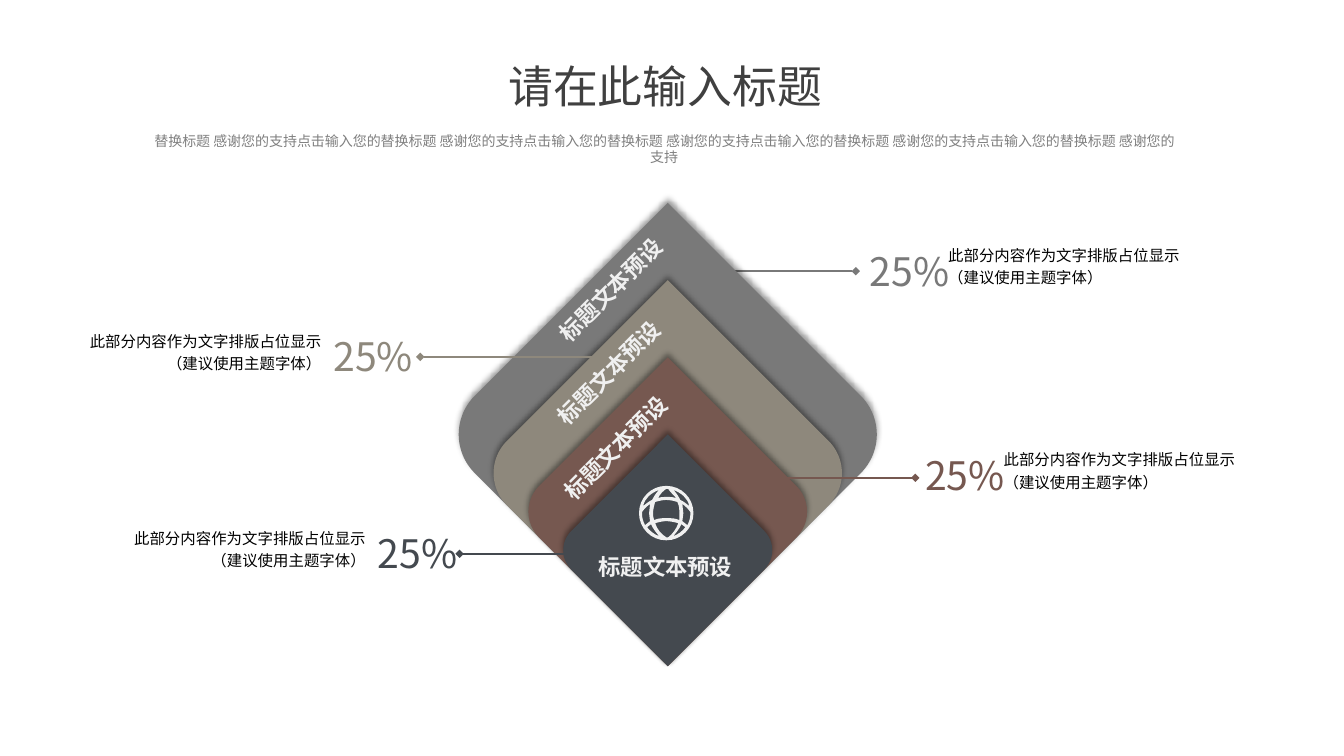
"""Build a slide of four nested diamonds with percentage callouts."""
from math import sqrt

from lxml.etree import SubElement
from pptx import Presentation
from pptx.dml.color import RGBColor
from pptx.enum.shapes import MSO_CONNECTOR as Connector, MSO_SHAPE as Preset
from pptx.enum.text import MSO_ANCHOR as Anchor, PP_ALIGN as Align
from pptx.oxml.ns import qn
from pptx.util import Pt

FONT = "Noto Sans CJK SC"
LIGHT = "F0F0F0"
COLORS = ["797979", "8E887C", "765850", "44494F"]
LABEL = "标题文本预设"
BODY = "此部分内容作为文字排版占位显示\n（建议使用主题字体）"
SUBTITLE = [
    "替换标题 " + "感谢您的支持点击输入您的替换标题 " * 4 + "感谢您的",
    "支持",
]

FORMATS = {
    "title": {"size": Pt(32), "color": "404040", "spacing": Pt(46)},
    "subtitle": {"size": Pt(10), "color": "808080", "spacing": Pt(11.5)},
    "label": {"size": Pt(16), "color": LIGHT, "spacing": 1.0, "bold": True},
    "percent": {"size": Pt(28), "spacing": Pt(33)},
    "body": {"size": Pt(11), "color": "000000", "spacing": Pt(16)},
}

CENTER_X = 477
TIP_Y = 475.8
OUTER_SIDE = 234
LABELS = [(436.2, 207, -45), (434.9, 266, -45), (439.6, 320, -45), (475.3, 405, 0)]

CALLOUTS = [
    {"start": 506.9, "end": 611.3, "y": 193.7, "percent_at": (614.2, 173.5)},
    {"start": 422.6, "end": 300.2, "y": 254.9, "percent_at": (231.1, 234.7)},
    {"start": 549.4, "end": 653.8, "y": 341.3, "percent_at": (653.8, 319.5)},
    {"start": 416.9, "end": 328.3, "y": 395.6, "percent_at": (262.8, 375.4)},
]

GLOBE_UNIT = 0.72
RIM = [(0, -27), (-15, -27), (-27, -15), (-27, 0), (-27, 15), (-15, 27), (0, 27),
       (15, 27), (27, 15), (27, 0), (27, -15), (15, -27), (0, -27)]
MIDDLE_PANES = [
    [(13, 0), (13, 2), (13, 5), (13, 7), (9, 5), (5, 5), (0, 5),
     (-4, 5), (-8, 5), (-12, 7), (-13, 5), (-13, 2), (-13, 0),
     (-13, -4), (-12, -7), (-11, -11), (-7, -12), (-4, -13), (0, -13),
     (4, -13), (8, -12), (11, -11), (13, -7), (13, -4), (13, 0)],
    [(0, -24), (1, -24), (1, -24), (2, -24), (4, -21), (7, -18), (10, -15),
     (7, -16), (4, -16), (0, -16), (-3, -16), (-6, -16), (-8, -15),
     (-6, -19), (-3, -22), (0, -24)],
    [(2, 24), (1, 24), (1, 24), (0, 24), (-5, 21), (-9, 16), (-11, 10),
     (-7, 9), (-4, 8), (0, 8), (4, 8), (8, 9), (12, 10),
     (10, 16), (6, 21), (2, 24)],
]
SIDE_PANES = [
    [(23, -7), (20, -9), (17, -12), (14, -13), (12, -17), (10, -20), (7, -23),
     (15, -20), (21, -15), (23, -7)],
    [(16, 8), (16, 6), (17, 3), (17, 0), (17, -3), (16, -6), (16, -9),
     (19, -7), (22, -4), (24, -1), (24, -1), (24, 0), (24, 0),
     (24, 5), (23, 8), (21, 12), (19, 11), (18, 9), (16, 8)],
    [(7, 23), (10, 19), (13, 16), (15, 11), (16, 12), (18, 13), (19, 14),
     (16, 18), (12, 21), (7, 23)],
]


def color(value):
    """Turn a hex string into a colour."""
    return RGBColor.from_string(value)


def globe_contours():
    """Return the rim of the globe and its panes."""
    mirrored = [[(-x, y) for x, y in pane] for pane in SIDE_PANES]
    return [RIM] + MIDDLE_PANES + SIDE_PANES + mirrored


class Painter:
    """Hold the text styles and the current slide."""

    def __init__(self, page, formats):
        """Keep the page and its formats."""
        self.shapes = page.shapes
        self.formats = formats

    def text(self, lines, style, frame, align=Align.LEFT, anchor=Anchor.TOP,
             wrap=True, turn=0, tint=None):
        """Add a text box with one paragraph per line."""
        look = self.formats[style]
        box = self.shapes.add_textbox(*map(Pt, frame))
        box.rotation = turn
        holder = box.text_frame
        holder.word_wrap, holder.vertical_anchor = wrap, anchor
        for i, line in enumerate(lines):
            para = holder.add_paragraph() if i else holder.paragraphs[0]
            para.text = line
            para.alignment, para.line_spacing = align, look["spacing"]
            for span in para.runs:
                values = {"name": FONT, "size": look["size"], "bold": look.get("bold", False)}
                for name, value in values.items():
                    setattr(span.font, name, value)
                span.font.color.rgb = color(tint or look["color"])
                SubElement(span.font._element, qn("a:ea"), typeface=FONT)

    def diamond(self, side, fill):
        """Add a turned square that stands on the common lower tip."""
        top = TIP_Y - side / sqrt(2) - side / 2
        frame = (CENTER_X - side / 2, top, side, side)
        shape = self.shapes.add_shape(Preset.ROUND_2_DIAG_RECTANGLE, *map(Pt, frame))
        shape.rotation = 315
        shape.fill.solid()
        shape.fill.fore_color.rgb = color(fill)
        shape.line.fill.background()
        effects = SubElement(shape._element.spPr, qn("a:effectLst"))
        shadow = SubElement(effects, qn("a:outerShdw"), blurRad=str(Pt(4)),
                            dist=str(Pt(3)), dir="16200000", rotWithShape="0")
        tone = SubElement(shadow, qn("a:srgbClr"), val="000000")
        SubElement(tone, qn("a:alpha"), val="40000")

    def leader(self, start, end, y, tint):
        """Add a level line with a diamond at its end."""
        line = self.shapes.add_connector(Connector.STRAIGHT, *map(Pt, (start, y, end, y)))
        line.line.width = Pt(1.5)
        line.line.color.rgb = color(tint)
        SubElement(line.line._get_or_add_ln(), qn("a:tailEnd"), type="diamond")
        SubElement(line._element.spPr, qn("a:effectLst"))

    def outline(self, contours, unit, x, y, fill):
        """Add one filled outline whose contours are chains of cubic curves."""
        builder = self.shapes.build_freeform(*contours[0][0], scale=Pt(unit))
        for i, contour in enumerate(contours):
            if i:
                builder.move_to(*contour[0])
            builder.add_line_segments(contour[1:], close=True)
        shape = builder.convert_to_shape(Pt(x), Pt(y))
        segments = list(shape._element.iter(qn("a:lnTo")))
        for i in range(0, len(segments), 3):
            curve = segments[i]
            curve.addprevious(curve.makeelement(qn("a:cubicBezTo")))
            cubic = curve.getprevious()
            for segment in segments[i:i + 3]:
                cubic.append(segment[0])
                segment.getparent().remove(segment)
        shape.shadow.inherit = False
        shape.fill.solid()
        shape.fill.fore_color.rgb = color(fill)
        shape.line.fill.background()

    def callout(self, start, end, percent_at, tint):
        """Add the percentage and the note beside a leader."""
        outward = end > start
        left, top = percent_at
        body_x = left + (56 if outward else -197.3)
        self.text([BODY], "body", (body_x, top - 4, 203, 39.6),
                  Align.LEFT if outward else Align.RIGHT)
        self.text(["25%"], "percent", (left, top, 71.3, 41), wrap=False, tint=tint)


def main():
    """Draw the slide and save it."""
    deck = Presentation()
    deck.slide_width, deck.slide_height = Pt(960), Pt(540)
    page = deck.slides.add_slide(deck.slide_layouts[6])
    painter = Painter(page, FORMATS)

    leaders = [(item["start"], item["end"], item["y"], tint)
               for item, tint in zip(CALLOUTS, COLORS)]
    painter.leader(*leaders[0])
    for i, fill in enumerate(COLORS):
        painter.diamond(OUTER_SIDE * (1 - i / 6), fill)
    for x, y, turn in reversed(LABELS):
        painter.text([LABEL], "label", (x - 55.8, y - 13.3, 111.6, 26.6),
                     Align.CENTER, Anchor.MIDDLE, wrap=False, turn=turn)
    painter.outline(globe_contours(), GLOBE_UNIT, 475.9, 366.5, LIGHT)
    for item, tint in zip(CALLOUTS, COLORS):
        painter.callout(item["start"], item["end"], item["percent_at"], tint)
    for leader in leaders[1:]:
        painter.leader(*leader)
    painter.text(SUBTITLE, "subtitle", (62.6, 90.7, 823.7, 31.7),
                 Align.CENTER, Anchor.MIDDLE)
    painter.text(["请在此输入标题"], "title", (352.1, 31, 246.2, 45.4), Align.CENTER)
    deck.save("out.pptx")


if __name__ == "__main__":
    main()
